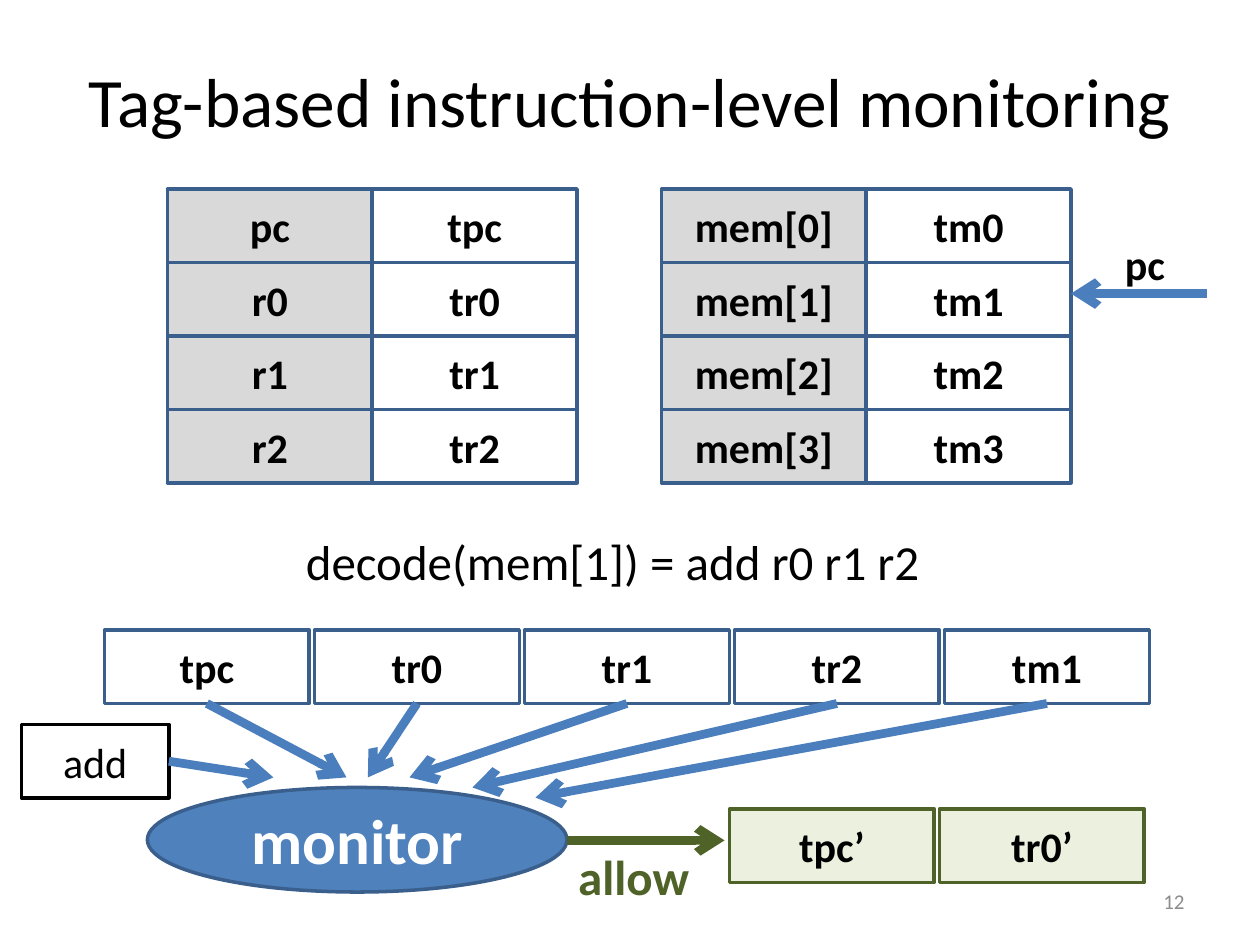
from lxml import etree
from pptx import Presentation
from pptx.dml.color import RGBColor
from pptx.enum.shapes import MSO_CONNECTOR as Connector, MSO_SHAPE as Shape
from pptx.enum.text import MSO_ANCHOR as Anchor, MSO_AUTO_SIZE as AutoSize, PP_ALIGN as Align
from pptx.oxml.ns import qn
from pptx.util import Inches, Pt

COLORS = {
    "black": "000000", "white": "FFFFFF", "number": "8C8C8C", "key": "D9D9D9",
    "border": "3A5F8C", "arrow": "4B7EBC", "monitor": "4F81BD",
    "green": "4F6228", "pale_green": "EBF1DE",
}
CELL_WIDTH, CELL_HEIGHT = 13 / 8, 7 / 12
BOX_PITCH = 5 / 3


def color(name):
    """Return the named colour."""
    return RGBColor.from_string(COLORS[name])


def write(box, text, size, ink="black", bold=False, align=Align.CENTER, anchor=Anchor.MIDDLE):
    """Write one styled run into a box."""
    box.text_frame.vertical_anchor = anchor
    para = box.text_frame.paragraphs[0]
    para.alignment = align
    span = para.add_run()
    span.text = text
    span.font.name = "Calibri"
    span.font.size = Pt(size)
    span.font.bold = bold
    span.font.color.rgb = color(ink)


def add_text(page, place, text, size, **style):
    """Add a wrapped text box."""
    box = page.shapes.add_textbox(*map(Inches, place))
    box.text_frame.word_wrap = True
    write(box, text, size, **style)


def add_label(page, place, text, size, **style):
    """Add a text box that fits its single line."""
    box = page.shapes.add_textbox(*map(Inches, place))
    box.text_frame.word_wrap = False
    box.text_frame.auto_size = AutoSize.SHAPE_TO_FIT_TEXT
    write(box, text, size, align=Align.LEFT, anchor=Anchor.TOP, **style)


def add_node(page, place, text, fill="white", line="border", size=24, bold=True,
             ink="black", kind=Shape.RECTANGLE):
    """Add an outlined shape with centred text."""
    node = page.shapes.add_shape(kind, *map(Inches, place))
    node.shadow.inherit = False
    node.fill.solid()
    node.fill.fore_color.rgb = color(fill)
    node.line.color.rgb = color(line)
    node.line.width = Pt(2)
    write(node, text, size, ink, bold)
    return node


def add_arrow(page, start, end, ink="arrow", source=None, side=None):
    """Add an arrow, joined to the given side of its source if there is one."""
    arrow = page.shapes.add_connector(Connector.STRAIGHT, *map(Inches, start + end))
    if source is not None:
        arrow.begin_connect(source, side)
    arrow.line.color.rgb = color(ink)
    arrow.line.width = Pt(5)
    etree.SubElement(arrow.line._get_or_add_ln(), qn("a:tailEnd"), type="arrow")
    etree.SubElement(arrow._element.spPr, qn("a:effectLst"))


def add_store(page, left, rows):
    """Add a grid of locations and their tags."""
    for row, (location, tag) in enumerate(rows):
        top = 1.5 + row * CELL_HEIGHT
        add_node(page, (left, top, CELL_WIDTH, CELL_HEIGHT), location, "key")
        add_node(page, (left + CELL_WIDTH, top, CELL_WIDTH, CELL_HEIGHT), tag)


def add_box_row(page, left, top, names, **style):
    """Add evenly spaced tag boxes and return them."""
    return [add_node(page, (left + i * BOX_PITCH, top, CELL_WIDTH, CELL_HEIGHT), name, **style)
            for i, name in enumerate(names)]


def main():
    """Build the slide."""
    deck = Presentation()
    deck.slide_width, deck.slide_height = Inches(10), Inches(7.5)
    page = deck.slides.add_slide(deck.slide_layouts[6])

    add_text(page, (0.5, 0.17, 9, 1.25), "Tag-based instruction-level monitoring", 39.6)
    add_text(page, (7.17, 6.95, 2.33, 0.4), "12", 12, ink="number", align=Align.RIGHT)

    add_store(page, 1.33, [("pc", "tpc")] + [(f"r{i}", f"tr{i}") for i in range(3)])
    add_store(page, 5.25, [(f"mem[{i}]", f"tm{i}") for i in range(4)])
    add_arrow(page, (9.58, 2.33), (8.5, 2.33))
    add_label(page, (8.83, 1.84, 0.52, 0.5), "pc", 24, bold=True)
    add_label(page, (2.33, 4.17, 5.13, 0.57), "decode(mem[1]) = add r0 r1 r2", 28)

    inputs = add_box_row(page, 0.83, 5, ["tpc", "tr0", "tr1", "tr2", "tm1"])
    add_node(page, (1.17, 6.25, 3.33, 0.83), "monitor", "monitor", size=36,
             ink="white", kind=Shape.OVAL)
    tips = [(2.75, 6.17), (2.92, 6.17), (3.25, 6.17), (3.75, 6.25), (4.25, 6.33)]
    for box, tip in zip(inputs, tips):
        add_arrow(page, (0, 0), tip, source=box, side=2)
    opcode = add_node(page, (0.17, 5.75, 1.17, CELL_HEIGHT), "add", line="black", bold=False)
    add_arrow(page, (0, 0), (2.17, 6.17), source=opcode, side=3)

    add_arrow(page, (4.5, 6.67), (5.75, 6.67), "green")
    add_label(page, (4.49, 6.67, 1.09, 0.57), "allow", 28, ink="green", bold=True)
    add_box_row(page, 5.79, 6.42, ["tpc’", "tr0’"], fill="pale_green", line="green")

    deck.save("out.pptx")


if __name__ == "__main__":
    main()
